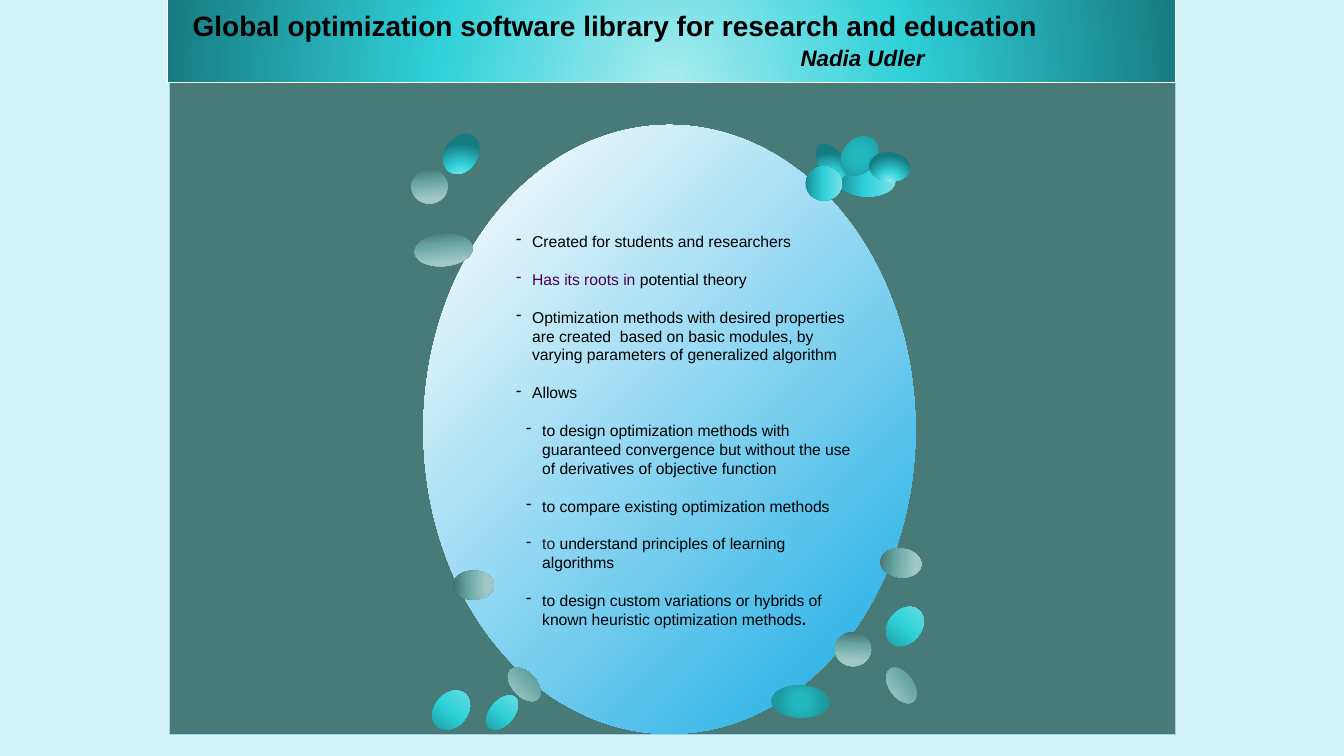
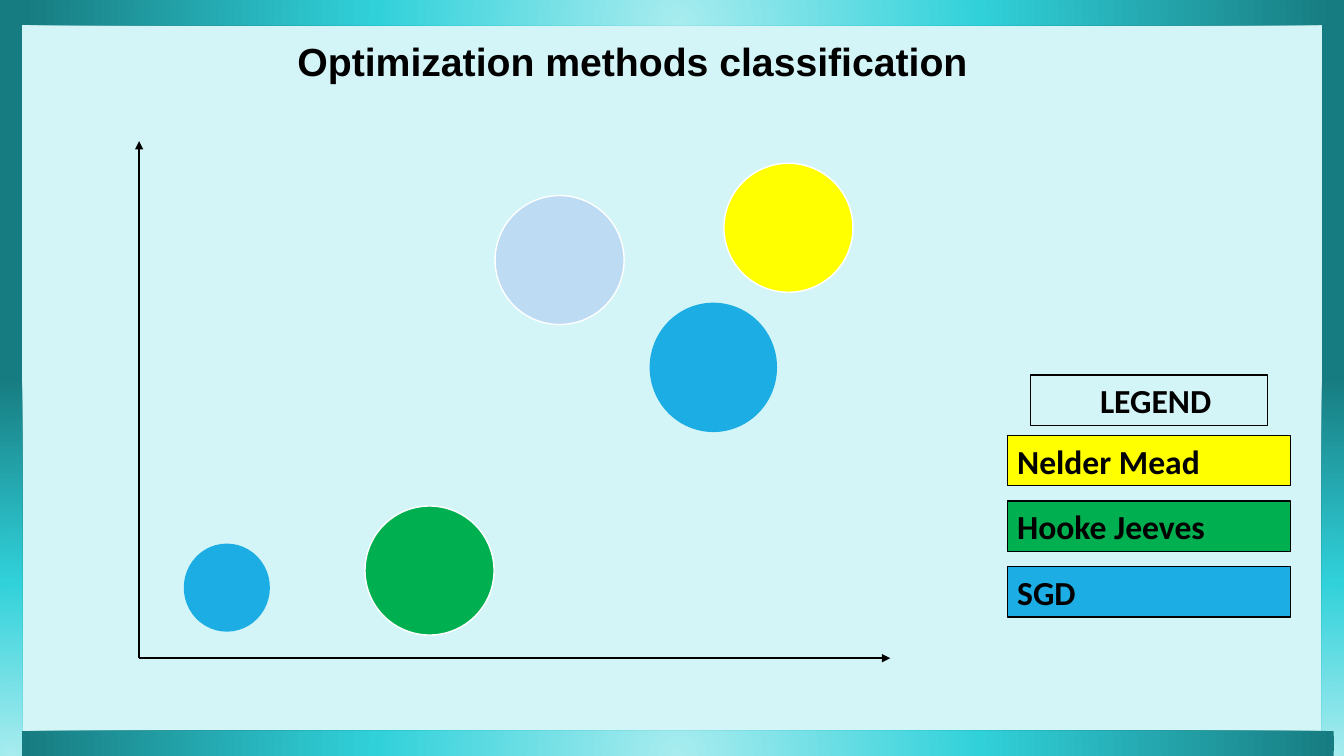
from dataclasses import dataclass
from typing import NamedTuple, Optional

from lxml import etree
from pptx import Presentation
from pptx import slide as s
from pptx import util as u
from pptx.dml import color as c
from pptx.enum import shapes, text
from pptx.oxml import ns
from pptx.shapes import autoshape

BLACK = c.RGBColor(0x00, 0x00, 0x00)
WHITE = c.RGBColor(0xFF, 0xFF, 0xFF)
CHARCOAL = c.RGBColor(0x22, 0x22, 0x22)
PLUM = c.RGBColor(0x50, 0x00, 0x50)
PALE_AQUA = c.RGBColor(0xD4, 0xF5, 0xF7)
SLATE_GREEN = c.RGBColor(0x48, 0x7B, 0x78)
SKY_LINE = c.RGBColor(0xA3, 0xCE, 0xED)
BLUE = c.RGBColor(0x1C, 0xAD, 0xE4)
LIGHT_BLUE = c.RGBColor(0xBD, 0xDB, 0xF2)
GREEN = c.RGBColor(0x00, 0xB0, 0x50)
YELLOW = c.RGBColor(0xFF, 0xFF, 0x00)
AQUA_LIGHT = c.RGBColor(0xA8, 0xEC, 0xEF)
AQUA = c.RGBColor(0x31, 0xD1, 0xDA)
AQUA_DARK = c.RGBColor(0x17, 0x7C, 0x81)
TURQUOISE_DARK = c.RGBColor(0x1A, 0x8A, 0x90)
TURQUOISE = c.RGBColor(0x2D, 0xD0, 0xD9)
TURQUOISE_LIGHT = c.RGBColor(0x7D, 0xE2, 0xE7)
TEAL = c.RGBColor(0x23, 0xB7, 0xBF)
TEAL_MID = c.RGBColor(0x1D, 0x9B, 0xA1)
TEAL_DARK = c.RGBColor(0x1B, 0x90, 0x96)
SAGE_DARK = c.RGBColor(0x41, 0x6E, 0x6B)
SAGE = c.RGBColor(0x67, 0xA6, 0xA2)
SAGE_LIGHT = c.RGBColor(0xA1, 0xC8, 0xC5)

SHAPE = shapes.MSO_SHAPE
LEFT = text.PP_ALIGN.LEFT


class Box(NamedTuple):
    """A position and size in inches."""
    left: float
    top: float
    width: float
    height: float


@dataclass(frozen=True)
class Gradient:
    """Colour stops in percent, run at an angle or out from a focus."""
    stops: tuple[tuple[int, c.RGBColor], ...]
    angle: int = 0
    focus: Optional[tuple[int, int, int, int]] = None


@dataclass(frozen=True)
class Span:
    """A stretch of text in one format."""
    words: str
    size: float
    color: c.RGBColor = BLACK
    bold: bool = False
    italic: bool = False
    font: str = "Arial"


@dataclass(frozen=True)
class PebbleKind:
    """A size and basic rotation shared by several pebbles."""
    width: float
    height: float
    angle: float


@dataclass(frozen=True)
class Pebble:
    """One small decorative ellipse."""
    left: float
    top: float
    kind: PebbleKind
    gradient: Gradient
    turn: float = 0


@dataclass(frozen=True)
class Bubble:
    """One method on the classification plot."""
    box: Box
    fill: c.RGBColor
    outline: c.RGBColor = WHITE


Fill = c.RGBColor | Gradient | None

GLOW = Gradient(((0, AQUA_LIGHT), (46, AQUA), (100, AQUA_DARK)), focus=(50, 130, 50, -30))
SHEEN = Gradient(((0, TURQUOISE_DARK), (48, TURQUOISE), (100, TURQUOISE_LIGHT)), angle=270)
CORE = Gradient(((0, TEAL), (23, TEAL), (69, TEAL_MID), (97, TEAL_DARK)), focus=(50, 50, 50, 50))
STONE = Gradient(((0, SAGE_DARK), (37, SAGE), (80, SAGE_LIGHT)))
OVAL_SKY = Gradient(((0, WHITE), (3, WHITE), (97, BLUE)), angle=225)

LONG = PebbleKind(0.32, 0.58, 92)
SLIM = PebbleKind(0.24, 0.4, 144.2)
ROUND = PebbleKind(0.34, 0.36, 92)
EGG = PebbleKind(0.33, 0.43, 40.2)
FLAT = PebbleKind(0.41, 0.29, 6.3)
LEFT_TURN = -7.2

PEBBLES = (
    Pebble(8.43, 1.5, LONG, SHEEN),
    Pebble(8.12, 1.4, SLIM, GLOW),
    Pebble(8, 1.64, ROUND, SHEEN),
    Pebble(8.36, 1.33, EGG, CORE),
    Pebble(8.62, 1.51, FLAT, GLOW),
    Pebble(7.78, 6.67, LONG, CORE),
    Pebble(8.82, 6.6, SLIM, STONE),
    Pebble(8.29, 6.26, ROUND, STONE),
    Pebble(8.81, 6, EGG, SHEEN),
    Pebble(8.73, 5.44, FLAT, STONE),
    Pebble(4.24, 2.19, LONG, STONE, LEFT_TURN),
    Pebble(5.08, 6.59, SLIM, STONE, LEFT_TURN),
    Pebble(4.09, 1.67, ROUND, STONE, LEFT_TURN),
    Pebble(4.41, 1.31, EGG, GLOW, LEFT_TURN),
    Pebble(4.49, 5.66, FLAT, STONE, LEFT_TURN),
    Pebble(4.31, 6.83, EGG, SHEEN),
    Pebble(4.86, 6.87, SLIM, SHEEN, -104),
)

BODY = 11.2
FEATURES = (
    (0, (Span("Created for students and researchers", BODY),)),
    (0, (Span("Has its roots in ", BODY, PLUM), Span("potential theory", BODY))),
    (0, (Span("Optimization methods with desired properties are created  based on basic "
              "modules, by varying parameters of generalized algorithm", BODY),)),
    (0, (Span("Allows", BODY),)),
    (1, (Span("to design optimization methods with guaranteed convergence but without "
              "the use of derivatives of objective function", BODY),)),
    (1, (Span("to compare existing optimization methods", BODY),)),
    (1, (Span("to\u00a0", BODY, CHARCOAL),
         Span("understand\u00a0principles of learning algorithms", BODY))),
    (1, (Span("to design custom variations or hybrids of known heuristic optimization "
              "methods", BODY), Span(".", BODY, bold=True))),
)

BUBBLES = (
    Bubble(Box(6.45, 3.01, 1.25, 1.27), BLUE, BLUE),
    Bubble(Box(3.62, 5.02, 1.28, 1.28), GREEN),
    Bubble(Box(4.91, 1.94, 1.28, 1.28), LIGHT_BLUE),
    Bubble(Box(7.18, 1.62, 1.28, 1.28), YELLOW),
    Bubble(Box(1.83, 5.4, 0.84, 0.86), BLUE, BLUE),
)
LEGEND = (("Nelder Mead", YELLOW), ("Hooke Jeeves", GREEN), ("SGD", BLUE))


def paint(shape: autoshape.Shape, fill: Fill, outline: Optional[c.RGBColor] = None) -> None:
    """Set the fill and the one-point outline of a shape."""
    if fill is None:
        shape.fill.background()
    else:
        shape.fill.solid()
        if isinstance(fill, Gradient):
            properties = shape._element.spPr
            solid = properties.find(ns.qn("a:solidFill"))
            properties.replace(solid, gradient_xml(fill))
        else:
            shape.fill.fore_color.rgb = fill
    if outline is None:
        shape.line.fill.background()
    else:
        shape.line.color.rgb = outline
        shape.line.width = u.Pt(1)


def gradient_xml(gradient: Gradient) -> etree._Element:
    """Build the fill element of a gradient."""
    fill = etree.Element(ns.qn("a:gradFill"), {"rotWithShape": "1"})
    stops = etree.SubElement(fill, ns.qn("a:gsLst"))
    for percent, color in gradient.stops:
        stop = etree.SubElement(stops, ns.qn("a:gs"), {"pos": str(percent * 1000)})
        etree.SubElement(stop, ns.qn("a:srgbClr"), {"val": str(color)})
    if gradient.focus is None:
        etree.SubElement(fill, ns.qn("a:lin"), {"ang": str(gradient.angle * 60000), "scaled": "0"})
    else:
        circle = etree.SubElement(fill, ns.qn("a:path"), {"path": "circle"})
        sides = {side: str(value * 1000) for side, value in zip("ltrb", gradient.focus)}
        etree.SubElement(circle, ns.qn("a:fillToRect"), sides)
    return fill


def add_shape(page: s.Slide, kind: SHAPE, box: Box, fill: Fill,
              outline: Optional[c.RGBColor] = None, angle: float = 0) -> autoshape.Shape:
    """Add a painted preset shape without shadow."""
    shape = page.shapes.add_shape(kind, *map(u.Inches, box))
    shape.shadow.inherit = False
    shape.rotation = angle % 360
    paint(shape, fill, outline)
    return shape


def add_spans(para: text.PP_ALIGN, *spans: Span) -> None:
    """Add formatted runs to a left-aligned paragraph."""
    para.alignment = LEFT
    for span in spans:
        run = para.add_run()
        run.text = span.words
        run.font.name = span.font
        run.font.size = u.Pt(span.size)
        run.font.bold = span.bold
        run.font.italic = span.italic
        run.font.color.rgb = span.color


def indent(para: text.PP_ALIGN, left: float, first: float = 0, bullet: str = "") -> None:
    """Set the indents of a paragraph and its bullet, if any."""
    properties = para._p.get_or_add_pPr()
    properties.set("marL", str(u.Inches(left)))
    properties.set("indent", str(u.Inches(first)))
    if bullet:
        etree.SubElement(properties, ns.qn("a:buChar"), {"char": bullet})


def place_title(page: s.Slide, box: Box, *spans: Span) -> autoshape.Shape:
    """Place the title in front, with one paragraph for each span."""
    title = page.shapes.title
    title.left, title.top, title.width, title.height = map(u.Inches, box)
    frame = title.text_frame
    frame.auto_size = text.MSO_AUTO_SIZE.NONE
    frame.vertical_anchor = text.MSO_ANCHOR.MIDDLE
    for number, span in enumerate(spans):
        para = frame.add_paragraph() if number else frame.paragraphs[0]
        add_spans(para, span)
    page.shapes._spTree.append(title._element)
    return title


def add_axis(page: s.Slide, start: tuple[float, float], end: tuple[float, float]) -> None:
    """Draw a plot axis with an arrowhead at its end."""
    axis = page.shapes.add_connector(shapes.MSO_CONNECTOR.STRAIGHT, *map(u.Inches, start + end))
    axis.line.color.rgb = BLACK
    axis.line.width = u.Pt(1.5)
    properties = axis._element.spPr
    etree.SubElement(properties.find(ns.qn("a:ln")), ns.qn("a:tailEnd"), {"type": "triangle"})
    etree.SubElement(properties, ns.qn("a:effectLst"))


def add_legend_box(page: s.Slide, box: Box, words: str, fill: Fill, inset: float = 0.1) -> None:
    """Add one labelled box of the legend."""
    label = add_shape(page, SHAPE.RECTANGLE, box, fill, BLACK)
    label.text_frame.margin_left = u.Inches(inset)
    add_spans(label.text_frame.paragraphs[0], Span(words, 24, bold=True, font="Calibri"))


def build_library_slide(page: s.Slide) -> None:
    """Present the library: header, oval with its features, pebbles."""
    add_shape(page, SHAPE.RECTANGLE, Box(1.68, 0.72, 9.98, 6.57), SLATE_GREEN, SKY_LINE)
    header = place_title(
        page, Box(1.66, -0.03, 10, 0.85),
        Span("Global optimization software library for research and education", 20, bold=True),
        Span("Nadia Udler", 16, bold=True, italic=True))
    paint(header, GLOW, WHITE)
    header.text_frame.margin_left = u.Inches(0.25)
    author = header.text_frame.paragraphs[1]
    author.space_before = u.Pt(2)
    indent(author, 6.03)

    add_shape(page, SHAPE.OVAL, Box(4.2, 1.24, 4.88, 6.04), OVAL_SKY, angle=180)
    for pebble in PEBBLES:
        kind = pebble.kind
        add_shape(page, SHAPE.OVAL, Box(pebble.left, pebble.top, kind.width, kind.height),
                  pebble.gradient, angle=kind.angle + pebble.turn)

    features = page.shapes.add_textbox(*map(u.Inches, Box(5.02, 2.08, 3.53, 4.42))).text_frame
    features.word_wrap = True
    features.margin_top = u.Inches(0.22)
    for number, (level, spans) in enumerate(FEATURES):
        para = features.add_paragraph() if number else features.paragraphs[0]
        para.level = level
        para.line_spacing = u.Pt(13.5)
        para.space_before = u.Pt(13.5 if number else 0)
        indent(para, 0.16 + 0.1 * level, -0.16, "-")
        add_spans(para, *spans)


def build_classification_slide(page: s.Slide) -> None:
    """Plot the optimization methods beside their legend, inside a frame."""
    sides = [(Box(left, 3.64, 7.5, 0.22), 90) for left in (-3.64, 9.47)]
    edges = [(Box(0.22, top, 13.01, 0.25), 0) for top in (0, 7.25)]
    for box, angle in sides + edges:
        bar = add_shape(page, SHAPE.PENTAGON, box, GLOW, angle=angle)
        bar.adjustments[0] = 0.01
    place_title(page, Box(2.85, 0.32, 8.15, 0.57),
                Span("Optimization methods classification", 28, bold=True))

    corner = (1.38, 6.53)
    for end in ((8.83, 6.53), (1.38, 1.4)):
        add_axis(page, corner, end)
    for bubble in BUBBLES:
        add_shape(page, SHAPE.OVAL, bubble.box, bubble.fill, bubble.outline)

    add_legend_box(page, Box(10.22, 3.72, 2.35, 0.5), "LEGEND", None, inset=0.69)
    for row, (method, color) in enumerate(LEGEND):
        add_legend_box(page, Box(9.99, 4.32 + 0.65 * row, 2.81, 0.5), method, color)


deck = Presentation()
deck.slide_width, deck.slide_height = u.Inches(13.33), u.Inches(7.5)
background = deck.slide_master.background.fill
background.solid()
background.fore_color.rgb = PALE_AQUA
title_only = deck.slide_layouts.get_by_name("Title Only")
for build in (build_library_slide, build_classification_slide):
    build(deck.slides.add_slide(title_only))
deck.save("out.pptx")
